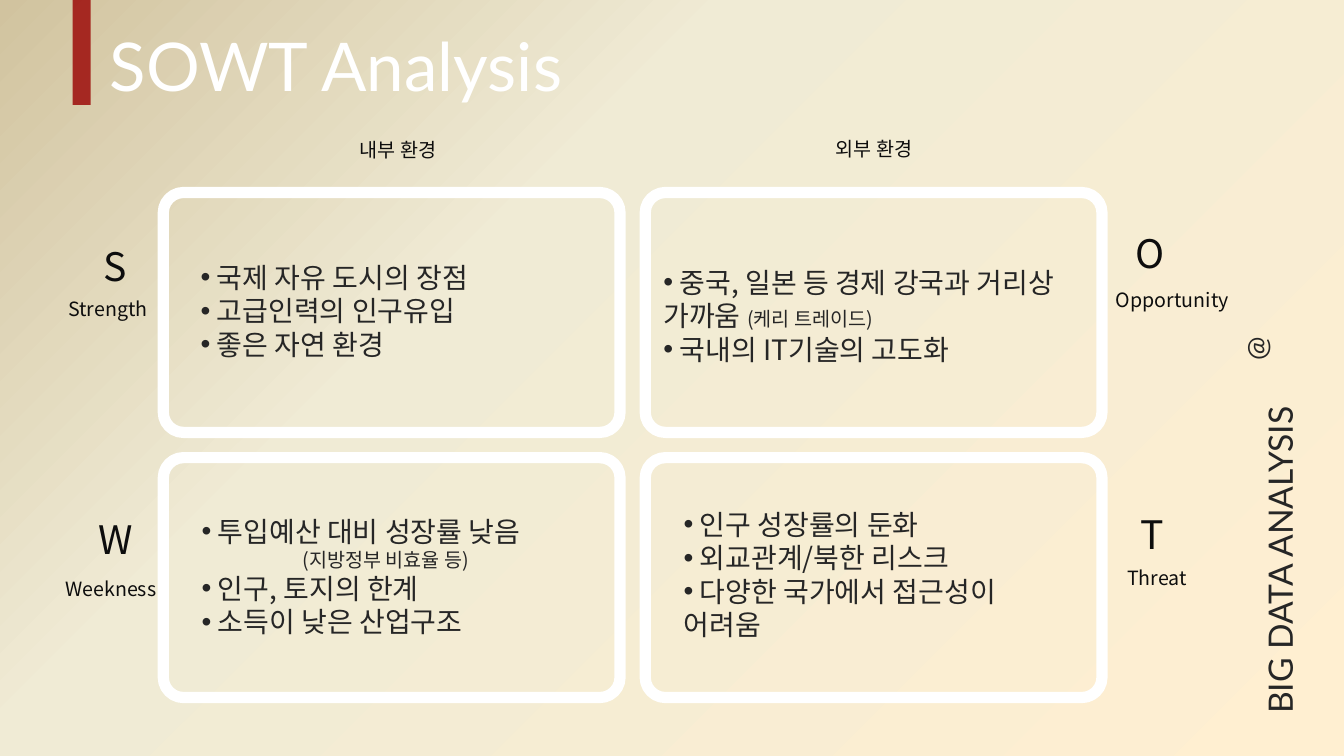
from lxml.etree import SubElement
from pptx import Presentation
from pptx.dml.color import RGBColor
from pptx.enum.shapes import MSO_SHAPE as Shape
from pptx.enum.text import MSO_ANCHOR as Anchor, MSO_AUTO_SIZE as AutoSize, PP_ALIGN as Align
from pptx.oxml import parse_xml
from pptx.oxml.ns import nsdecls, qn
from pptx.util import Inches, Pt

COLORS = {
    "cream": "FFEFD1", "ivory": "F0EBD5", "sand": "D1C39F",
    "white": "FFFFFF", "red": "990000", "ink": "0D0D0D", "gray": "262626",
}
KOREAN = "Noto Sans CJK KR"
LATIN = "Lato"
CARD_LEFTS = (1.62, 6.4)
CARD_TOPS = (1.91, 4.54)

LISTS = [
    ((1.89, 2.53, 3.95, 1.11),
     [" 국제 자유 도시의 장점", " 고급인력의 인구유입", " 좋은 자연 환경"]),
    ((6.48, 2.58, 4.65, 1.11),
     [(" 중국, 일본 등 경제 강국과 거리상 가까움 ", "(케리 트레이드)"),
      " 국내의 IT기술의 고도화"]),
    ((1.9, 5.05, 4.05, 1.35),
     [" 투입예산 대비 성장률 낮음", ("", "(지방정부 비효율 등)"),
      " 인구, 토지의 한계", " 소득이 낮은 산업구조"]),
    ((6.68, 4.98, 3.86, 1.45),
     [" 인구 성장률의 둔화", " 외교관계/북한 리스크", " 다양한 국가에서 접근성이 어려움"]),
]

LABELS = [
    ("S", (0.62, 2.35, 1.05, 0.57), 28, Align.CENTER),
    ("O", (10.88, 2.23, 1.05, 0.57), 28, Align.CENTER),
    ("W", (0.62, 5.06, 1.05, 0.57), 28, Align.CENTER),
    ("T", (10.9, 5.01, 1.05, 0.57), 28, Align.CENTER),
    ("Strength", (0.46, 2.9, 1.22, 0.34), 14, Align.CENTER),
    ("Weekness", (0.43, 5.67, 1.22, 0.34), 14, Align.RIGHT),
    ("Opportunity", (10.97, 2.81, 1.44, 0.34), 14, Align.LEFT),
    ("Threat", (10.95, 5.57, 1.05, 0.34), 14, Align.CENTER),
    ("내부 환경", (3.34, 1.32, 1.22, 0.34), 14, Align.CENTER),
    ("외부 환경", (8.06, 1.31, 1.22, 0.34), 14, Align.CENTER),
]


def rgb(name):
    return RGBColor.from_string(COLORS[name])


def place(shape, box):
    shape.left, shape.top, shape.width, shape.height = map(Inches, box)


def style(paragraph, size, color, face, align=Align.LEFT):
    paragraph.alignment = align
    font = paragraph.font
    font.size, font.name, font.bold = Pt(size), face, False
    font.color.rgb = rgb(color)
    for run in paragraph.runs:
        east_asian = SubElement(run.font._element, qn("a:ea"))
        east_asian.set("typeface", face)


def prepare_frame(shape):
    frame = shape.text_frame
    frame.word_wrap = True
    frame.auto_size = AutoSize.NONE
    frame.vertical_anchor = Anchor.TOP
    return frame


def paint_background(slide):
    slide.background.fill.solid()
    properties = slide.element.find(".//" + qn("p:bgPr"))
    stops = "".join(
        f'<a:gs pos="{pos * 1000}"><a:srgbClr val="{COLORS[name]}"/></a:gs>'
        for pos, name in ((0, "cream"), (65, "ivory"), (100, "sand")))
    properties.replace(properties[0], parse_xml(
        f'<a:gradFill {nsdecls("a")} rotWithShape="1"><a:gsLst>{stops}</a:gsLst>'
        '<a:path path="circle"><a:fillToRect l="100000" t="100000"/></a:path></a:gradFill>'))


def add_card(slide, left, top):
    card = slide.shapes.add_shape(
        Shape.ROUNDED_RECTANGLE, Inches(left), Inches(top), Inches(4.53), Inches(2.38))
    card.adjustments[0] = 0.084
    card.shadow.inherit = False
    card.fill.background()
    card.line.color.rgb = rgb("white")
    card.line.width = Pt(8)


def add_accent(slide):
    accent = slide.shapes.add_shape(
        Shape.RECTANGLE, Inches(0.72), 0, Inches(0.18), Inches(1.04))
    accent.shadow.inherit = False
    accent.fill.solid()
    accent.fill.fore_color.rgb = rgb("red")
    accent.line.fill.background()
    tint = accent.fill._xPr.find(".//" + qn("a:srgbClr"))
    SubElement(tint, qn("a:alpha")).set("val", "80000")


def add_label(slide, text, box, size, align=Align.LEFT, color="ink", face=KOREAN, turn=0):
    label = slide.shapes.add_textbox(*map(Inches, box))
    label.rotation = turn
    paragraph = prepare_frame(label).paragraphs[0]
    paragraph.text = text
    style(paragraph, size, color, face, align)


def fill_title(title):
    place(title, (0.99, 0.19, 8.62, 0.91))
    paragraph = prepare_frame(title).paragraphs[0]
    paragraph.text = "SOWT Analysis"
    style(paragraph, 48, "white", LATIN)


def set_bullet(paragraph, shown):
    properties = paragraph._p.get_or_add_pPr()
    properties.set("marL", str(0 if shown else Inches(1)))
    properties.set("indent", "0")
    bullet = parse_xml(f'<a:{"buChar" if shown else "buNone"} {nsdecls("a")}/>')
    if shown:
        bullet.set("char", "•")
    properties.insert_element_before(bullet, "a:tabLst", "a:defRPr", "a:extLst")


def fill_list(body, box, items):
    place(body, box)
    frame = prepare_frame(body)
    for index, item in enumerate(items):
        paragraph = frame.add_paragraph() if index else frame.paragraphs[0]
        main_text, remark = item if isinstance(item, tuple) else (item, "")
        for text, size in ((main_text, 20), (remark, 14)):
            if text:
                run = paragraph.add_run()
                run.text = text
                run.font.size = Pt(size)
        style(paragraph, 20 if main_text else 14, "gray", KOREAN)
        paragraph.space_before = Pt(0)
        set_bullet(paragraph, bool(main_text))


def main():
    deck = Presentation()
    deck.slide_width, deck.slide_height = Inches(13.33), Inches(7.5)
    slide = deck.slides.add_slide(deck.slide_layouts.get_by_name("Comparison"))
    paint_background(slide)
    title, *bodies = list(slide.placeholders)[:5]
    fill_title(title)
    for body, (box, items) in zip(bodies, LISTS):
        fill_list(body, box, items)
    for placeholder in list(slide.placeholders)[5:]:
        placeholder.element.getparent().remove(placeholder.element)
    for top in CARD_TOPS:
        for left in CARD_LEFTS:
            add_card(slide, left, top)
    add_accent(slide)
    for label in LABELS:
        add_label(slide, *label)
    add_label(slide, "BIG DATA ANALYSIS", (10.61, 4.85, 4.16, 0.5), 24,
              color="gray", face=LATIN, turn=270)
    add_label(slide, "@", (12.24, 3.23, 0.44, 0.44), 20,
              color="gray", face=LATIN, turn=270)
    deck.save("out.pptx")


if __name__ == "__main__":
    main()
